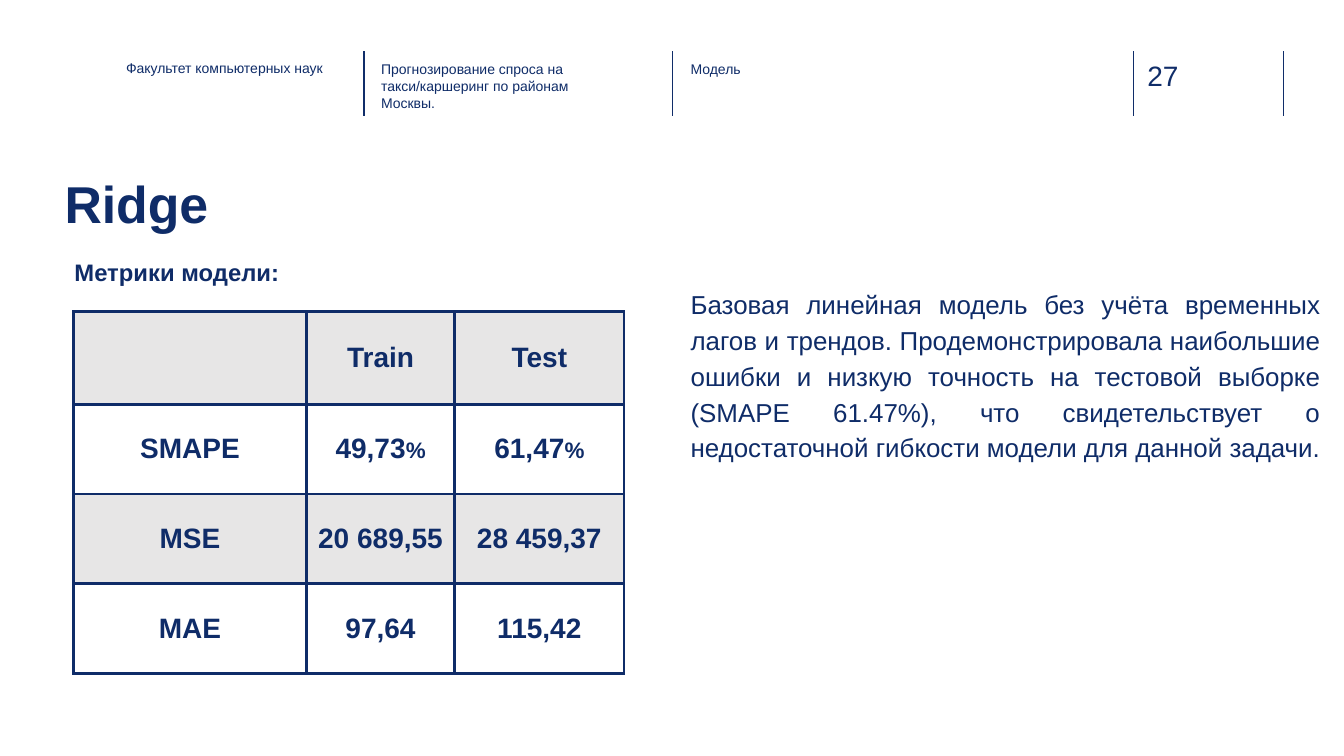
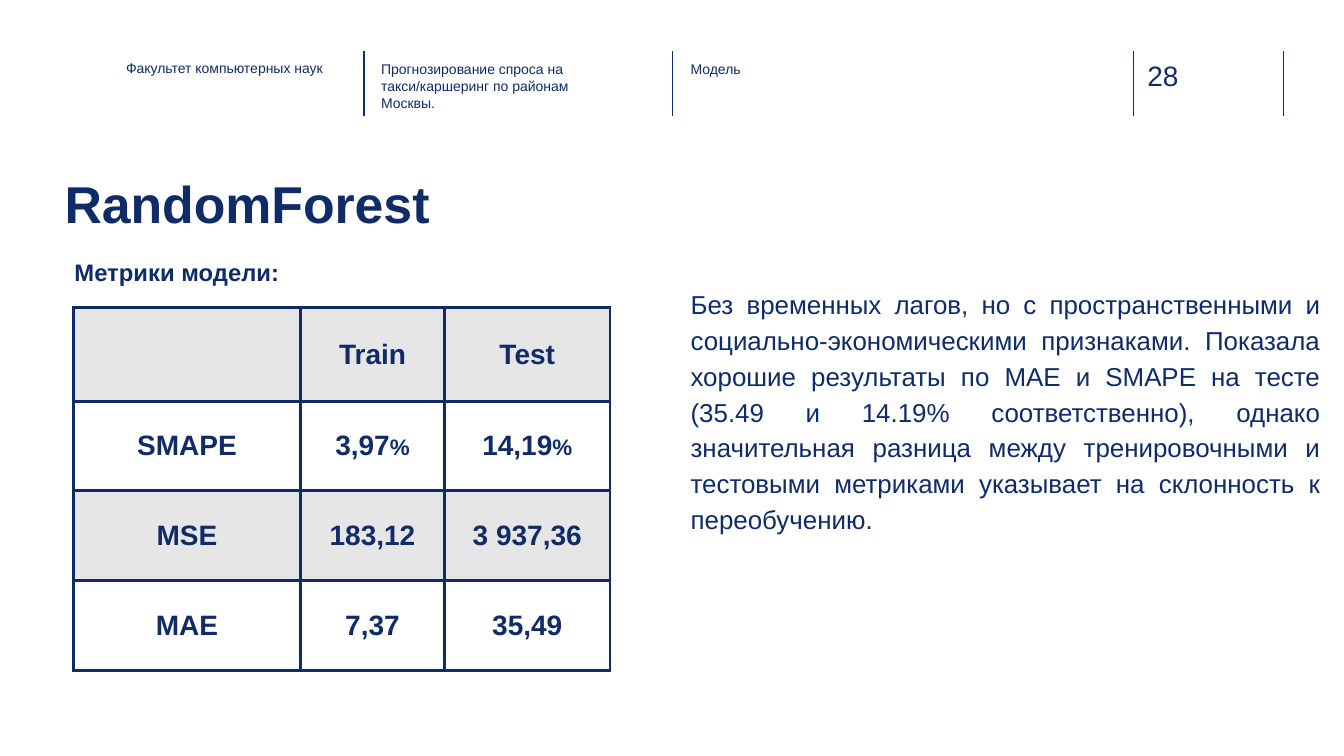
from lxml.etree import SubElement
from pptx import Presentation
from pptx.dml.color import RGBColor
from pptx.enum.shapes import MSO_CONNECTOR
from pptx.enum.text import MSO_ANCHOR, PP_ALIGN
from pptx.oxml.ns import qn
from pptx.util import Inches, Pt

NAVY = RGBColor(0x0F, 0x2C, 0x68)
RULE = RGBColor(0x10, 0x2D, 0x69)
GREY = RGBColor(0xE7, 0xE6, 0xE6)
WHITE = RGBColor(0xFF, 0xFF, 0xFF)
FONT = "Arial"
WIDTH, HEIGHT = 13.33, 7.5

HEADER_BOX = (0, 0.51, WIDTH, 0.64)
HEADER_RULES = (3.61, 6.67, 11.24, 12.73)
HEADER_TEXTS = (
    (1.25, 0.08, 2.08, "Факультет компьютерных наук"),
    (3.78, 0.09, 2.26, "Прогнозирование спроса на такси/каршеринг по районам Москвы."),
    (6.85, 0.09, 2.26, "Модель"),
)
TITLE_BOX = (0.64, 1.58, 8.38, 1.02)
CAPTION_BOX = (0.64, 2.41, 2.47, 0.72)
COMMENT_BOX = (6.85, 2.6, 6.24, 4.58)
TABLE_LEFT = 0.73
ROW_HEIGHT = 0.89
METRICS = ("SMAPE", "MSE", "MAE")

MODELS = (
    {
        "page": "27",
        "title": "Ridge",
        "comment": "Базовая линейная модель без учёта временных лагов и трендов. "
                   "Продемонстрировала наибольшие ошибки и низкую точность на тестовой "
                   "выборке (SMAPE 61.47%), что свидетельствует о недостаточной гибкости "
                   "модели для данной задачи.",
        "table_top": 3.09,
        "columns": (2.31, 1.47, 1.68),
        "header_height": 0.92,
        "values": (("49,73%", "61,47%"), ("20 689,55", "28 459,37"), ("97,64", "115,42")),
    },
    {
        "page": "28",
        "title": "RandomForest",
        "comment": "Без временных лагов, но с пространственными и социально-экономическими "
                   "признаками. Показала хорошие результаты по MAE и SMAPE на тесте (35.49 и "
                   "14.19% соответственно), однако значительная разница между тренировочными "
                   "и тестовыми метриками указывает на склонность к переобучению.",
        "table_top": 3.05,
        "columns": (2.25, 1.43, 1.64),
        "header_height": 0.93,
        "values": (("3,97%", "14,19%"), ("183,12", "3 937,36"), ("7,37", "35,49")),
    },
)


def add_run(paragraph, text, size, bold=False, color=NAVY):
    run = paragraph.add_run()
    run.text = text
    run.font.name = FONT
    run.font.size = Pt(size)
    run.font.bold = bold
    run.font.color.rgb = color


def add_text(slide, box, text, size, bold=False, color=NAVY, spacing=1.0,
             align=PP_ALIGN.LEFT, margin=0, top_margin=0):
    shape = slide.shapes.add_textbox(*map(Inches, box))
    frame = shape.text_frame
    frame.word_wrap = True
    frame.margin_left = frame.margin_right = frame.margin_bottom = Inches(margin)
    frame.margin_top = Inches(top_margin)
    paragraph = frame.paragraphs[0]
    paragraph.alignment = align
    paragraph.line_spacing = spacing
    add_run(paragraph, text, size, bold, color)


def add_rule(slide, x, top, height):
    line = slide.shapes.add_connector(
        MSO_CONNECTOR.STRAIGHT, Inches(x), Inches(top), Inches(x), Inches(top + height))
    line.line.color.rgb = RULE
    line.line.width = Pt(1)
    SubElement(line._element.spPr, qn("a:effectLst"))


def add_header(slide, box, page):
    left, top, width, height = box
    for x in HEADER_RULES:
        add_rule(slide, left + x, top, height)
    for x, offset, text_width, text in HEADER_TEXTS:
        add_text(slide, (left + x, top + offset, text_width, 0.45), text, 10)
    add_text(slide, (left + 11.38, top + 0.07, 0.73, 0.34), page, 20, color=RULE)


def add_borders(cell):
    properties = cell._tc.get_or_add_tcPr()
    for side in ("a:lnL", "a:lnR", "a:lnT", "a:lnB"):
        border = SubElement(properties, qn(side), w=str(Pt(2.25)))
        fill = SubElement(border, qn("a:solidFill"))
        SubElement(fill, qn("a:srgbClr"), val=str(NAVY))


def fill_cell(cell, text, color):
    add_borders(cell)
    cell.fill.solid()
    cell.fill.fore_color.rgb = color
    cell.vertical_anchor = MSO_ANCHOR.MIDDLE
    cell.margin_left = cell.margin_right = Inches(0.1)
    cell.margin_top = cell.margin_bottom = Inches(0.1)
    paragraph = cell.text_frame.paragraphs[0]
    paragraph.alignment = PP_ALIGN.CENTER
    number, percent, _ = text.partition("%")
    if number:
        add_run(paragraph, number, 20, True)
    if percent:
        add_run(paragraph, percent, 16, True)


def add_metrics_table(slide, left, top, columns, header_height, values):
    rows = [("", "Train", "Test")]
    rows += [(metric, *pair) for metric, pair in zip(METRICS, values)]
    heights = [header_height] + [ROW_HEIGHT] * len(METRICS)
    box = (left, top, sum(columns), sum(heights))
    table = slide.shapes.add_table(len(rows), len(columns), *map(Inches, box)).table
    table.first_row = table.horz_banding = False
    for column, width in zip(table.columns, columns):
        column.width = Inches(width)
    for index, (row, height, texts) in enumerate(zip(table.rows, heights, rows)):
        row.height = Inches(height)
        for cell, text in zip(row.cells, texts):
            fill_cell(cell, text, WHITE if index % 2 else GREY)


def add_model_slide(presentation, model):
    slide = presentation.slides.add_slide(presentation.slide_layouts[6])
    add_header(slide, HEADER_BOX, model["page"])
    add_text(slide, TITLE_BOX, model["title"], 37, True, spacing=1.15, top_margin=0.03)
    add_text(slide, CAPTION_BOX, "Метрики модели:", 17, True, spacing=1.15,
             margin=0.1, top_margin=0.1)
    add_metrics_table(slide, TABLE_LEFT, model["table_top"], model["columns"],
                      model["header_height"], model["values"])
    add_text(slide, COMMENT_BOX, model["comment"], 18.5, spacing=1.15,
             align=PP_ALIGN.JUSTIFY, top_margin=0.22)


def main():
    presentation = Presentation()
    presentation.slide_width = Inches(WIDTH)
    presentation.slide_height = Inches(HEIGHT)
    for model in MODELS:
        add_model_slide(presentation, model)
    presentation.save("out.pptx")


if __name__ == "__main__":
    main()
